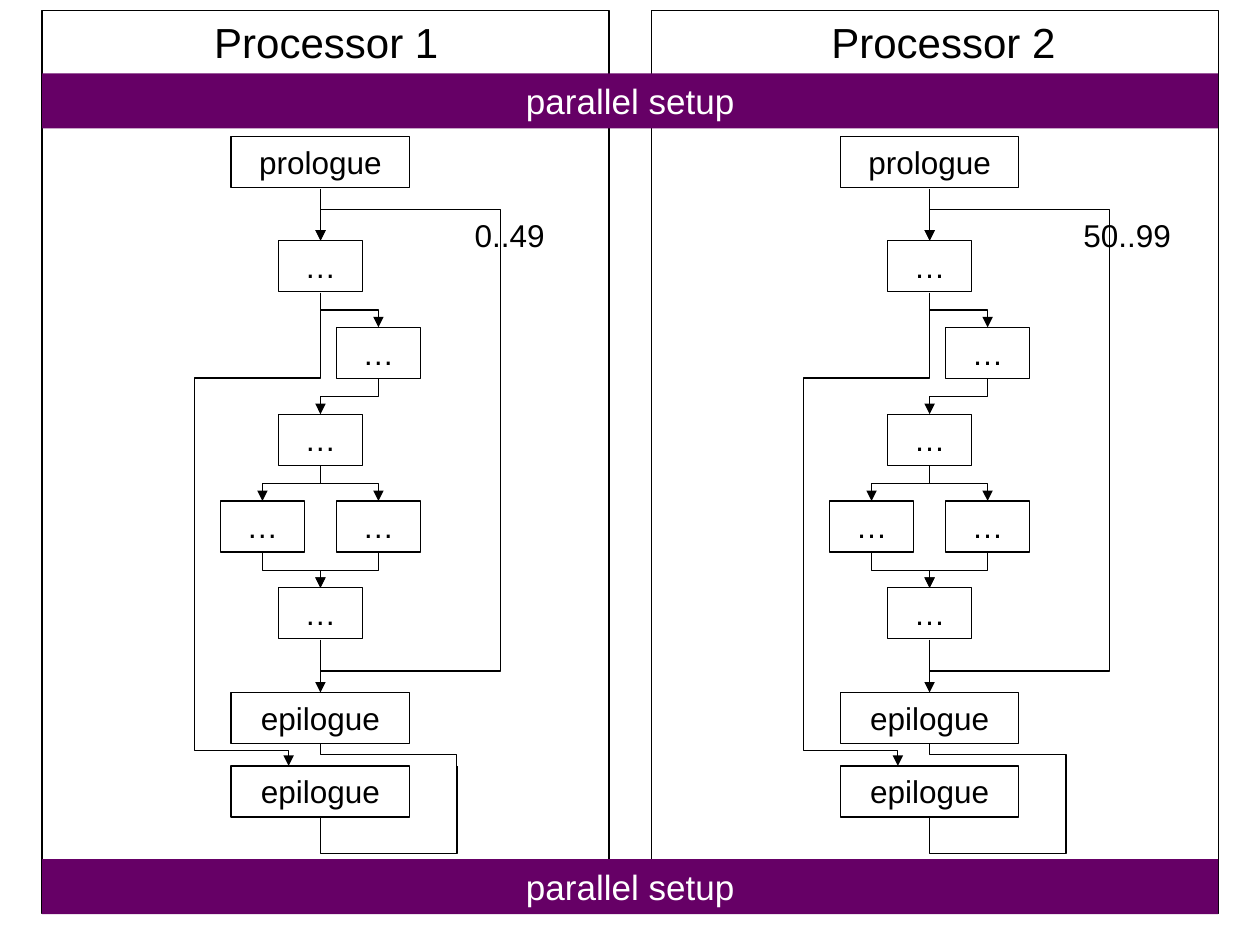
from pptx import Presentation
from pptx.dml.color import RGBColor
from pptx.enum.shapes import MSO_CONNECTOR, MSO_SHAPE
from pptx.enum.text import MSO_ANCHOR, MSO_AUTO_SIZE, PP_ALIGN
from pptx.oxml.ns import qn
from pptx.util import Cm, Pt
from lxml.etree import SubElement

# Content: one entry per processor (title, title left, loop range, range left and width)
PROCESSORS = [
    ("Processor 1", 4.07, "0..49", 9.32, 1.95),
    ("Processor 2", 16.51, "50..99", 21.59, 2.3),
]
BAND_TEXT = "parallel setup"
BAND_TOPS = (1.48, 17.32)
STEPS = [("prologue", 2.75), ("epilogue", 13.96), ("epilogue", 15.44)]
BODY = [(0, 0), (1, 1), (0, 2), (-1, 3), (1, 3), (0, 4)]  # (column, row)
BRANCHES = [(0, 1, 0), (1, 0, 1), (0, -1, 2), (0, 1, 2), (-1, 0, 3), (1, 0, 3)]

# Measures in centimetres
PANEL_LEFT, PANEL_TOP, PANEL_WIDTH, PANEL_HEIGHT = 0.85, 0.21, 11.43, 18.2
PANEL_PITCH = 12.28
AXIS, COLUMN_PITCH = 6.46, 1.17
FIRST_ROW, ROW_PITCH = 4.85, 1.75
BODY_WIDTH, STEP_WIDTH, BOX_HEIGHT = 1.7, 3.6, 1.03
BLACK, WHITE, PURPLE = "000000", "FFFFFF", "660066"

deck = Presentation()
deck.slide_width, deck.slide_height = Cm(25.4), Cm(19.05)
page = deck.slides.add_slide(deck.slide_layouts[6])


def color(value):
    return RGBColor.from_string(value)


def write(shape, text, size, ink=BLACK, align=PP_ALIGN.CENTER):
    frame = shape.text_frame
    frame.text = text
    paragraph = frame.paragraphs[0]
    paragraph.alignment = align
    font = paragraph.runs[0].font
    font.name, font.size, font.color.rgb = "Arial", Pt(size), color(ink)


def add_box(left, top, width, height, text="", size=18, fill=None, ink=BLACK):
    box = page.shapes.add_shape(MSO_SHAPE.RECTANGLE, Cm(left), Cm(top), Cm(width), Cm(height))
    box.shadow.inherit = False
    if fill:
        box.fill.solid()
        box.fill.fore_color.rgb = color(fill)
        box.line.fill.background()
    else:
        box.fill.background()
        box.line.color.rgb = color(BLACK)
        box.line.width = Pt(0.74)
    if text:
        box.text_frame.vertical_anchor = MSO_ANCHOR.TOP
        write(box, text, size, ink)


def add_label(left, top, width, height, text, size):
    label = page.shapes.add_textbox(Cm(left), Cm(top), Cm(width), Cm(height))
    label.text_frame.word_wrap = False
    label.text_frame.auto_size = MSO_AUTO_SIZE.SHAPE_TO_FIT_TEXT
    write(label, text, size, align=PP_ALIGN.LEFT)


def add_line(start, end, arrow=False, kind=MSO_CONNECTOR.STRAIGHT):
    line = page.shapes.add_connector(kind, *(Cm(value) for value in (*start, *end)))
    line.line.color.rgb = color(BLACK)
    line.line.width = Pt(0.74)
    if arrow:
        SubElement(line._element.spPr.find(qn("a:ln")), qn("a:tailEnd"), type="triangle")
    SubElement(line._element.spPr, qn("a:effectLst"))
    return line


def turn(line, center, length, breadth, rotation, flips, bends):
    """Lay an elbow so that it leaves its start vertically."""
    line.left, line.top = Cm(center[0] - length / 2), Cm(center[1] - breadth / 2)
    line.width, line.height = Cm(length), Cm(breadth)
    frame = line._element.spPr.find(qn("a:xfrm"))
    frame.set("rot", str(rotation * 60000))
    for name in ("flipH", "flipV"):
        frame.set(name, str(int(name in flips)))
    geometry = line._element.spPr.find(qn("a:prstGeom"))
    geometry.set("prst", f"bentConnector{len(bends) + 2}")
    guides = geometry.find(qn("a:avLst"))
    if guides is None:
        guides = SubElement(geometry, qn("a:avLst"))
    for number, share in enumerate(bends, 1):
        SubElement(guides, qn("a:gd"), name=f"adj{number}", fmla=f"val {round(share * 100000)}")


def add_bend(start, end, level=None, arrow=True):
    """Go down to level, across, then down to end."""
    (x1, y1), (x2, y2) = start, end
    level = (y1 + y2) / 2 if level is None else level
    line = add_line(start, end, arrow, MSO_CONNECTOR.ELBOW)
    rotation, flips = (270, ("flipH",)) if x2 > x1 else (90, ())
    turn(line, ((x1 + x2) / 2, (y1 + y2) / 2), y2 - y1, abs(x2 - x1),
         rotation, flips, [(level - y1) / (y2 - y1)])


def add_loop(x, bottom, top, reach, overshoot):
    """Run from bottom back up to top, around the right side."""
    length, breadth = bottom - top, 0.01
    line = add_line((x, bottom), (x, top), True, MSO_CONNECTOR.ELBOW)
    share = overshoot / length
    turn(line, (x, (bottom + top) / 2), length, breadth, 90, ("flipH", "flipV"),
         [-share, reach / breadth, 1 + share])


def row_top(row):
    return FIRST_ROW + row * ROW_PITCH


def row_bottom(row):
    return row_top(row) + BOX_HEIGHT + 0.02


# Panels with their flow charts
for index, (title, title_left, loop_range, range_left, range_width) in enumerate(PROCESSORS):
    shift = index * PANEL_PITCH
    axis = AXIS + shift
    add_box(PANEL_LEFT + shift, PANEL_TOP, PANEL_WIDTH, PANEL_HEIGHT)
    add_label(title_left, PANEL_TOP, 5.03, 1.27, title, 24)
    add_label(range_left, 4.23, range_width, BOX_HEIGHT, loop_range, 18)

    for text, top in STEPS:
        add_box(axis - STEP_WIDTH / 2, top, STEP_WIDTH, BOX_HEIGHT, text)
    for column, row in BODY:
        add_box(axis + column * COLUMN_PITCH - BODY_WIDTH / 2, row_top(row),
                BODY_WIDTH, BOX_HEIGHT, "…")
    for source, target, row in BRANCHES:
        add_bend((axis + source * COLUMN_PITCH, row_bottom(row)),
                 (axis + target * COLUMN_PITCH, row_top(row + 1)))

    # Straight entry and exit, and the loop back
    add_line((axis, 3.8), (axis, row_top(0)), True)
    add_line((axis, row_bottom(4)), (axis, 13.96), True)
    add_loop(axis, row_bottom(4), row_top(0), 3.63, 0.63)

    # Early exit on the left
    left = axis - 2.54
    add_bend((axis, row_bottom(0)), (left, 11.2), 7.62, arrow=False)
    add_line((left, 11.2), (left, 11.84))
    add_bend((left, 11.84), (axis - 0.64, 15.44), 15.13)

    # Way around the last epilogue
    right = axis + 2.75
    add_bend((axis, 15.0), (right, 15.44), 15.21, arrow=False)
    add_line((right, 15.44), (right, 16.5))
    add_bend((right, 16.49), (axis, 16.5), 17.21, arrow=False)

# Bands across both panels
for top in BAND_TOPS:
    add_box(PANEL_LEFT, top, PANEL_PITCH + PANEL_WIDTH, 1.11, BAND_TEXT, 20, PURPLE, WHITE)

deck.save("out.pptx")
